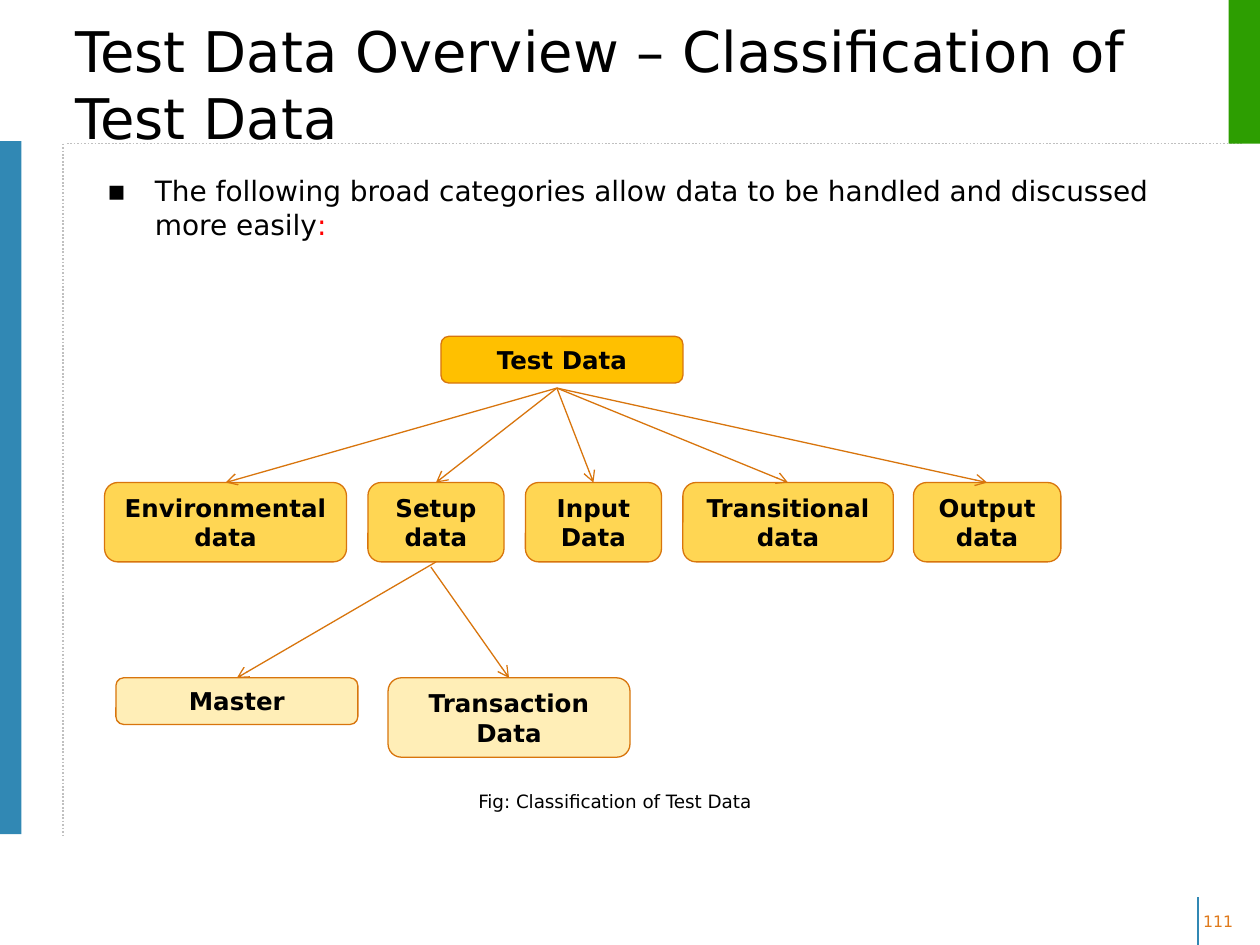
"""Build a slide that shows the classification of test data as a tree."""
import dataclasses

import lxml.etree
import pptx
import pptx.dml.color
import pptx.enum.dml
import pptx.enum.shapes
import pptx.enum.text
import pptx.oxml.ns
import pptx.util

Inches = pptx.util.Inches
Pt = pptx.util.Pt
qn = pptx.oxml.ns.qn
Kind = pptx.enum.shapes.MSO_SHAPE
Fit = pptx.enum.text.MSO_AUTO_SIZE
Mid = pptx.enum.text.MSO_ANCHOR.MIDDLE
Align = pptx.enum.text.PP_ALIGN


@dataclasses.dataclass
class Theme:
    font: str = "DejaVu Sans"
    ink: str = "000000"
    alert: str = "FF0000"
    blue: str = "3188B4"
    green: str = "2D9E01"
    grey: str = "C0C0C0"
    edge: str = "D8750D"
    page: str = "DF7A1C"
    root: str = "FFC000"
    group: str = "FFD653"
    leaf: str = "FFEEB7"
    title: float = 32
    body: float = 16
    label: float = 14
    note: float = 10.5
    small: float = 9


theme = Theme()
color = pptx.dml.color.RGBColor.from_string


def write(par, text, size, ink=theme.ink, bold=False, align=Align.LEFT):
    par.alignment = align
    par.space_before = Pt(0)
    run = par.add_run()
    run.text = text
    run.font.name = theme.font
    run.font.size = Pt(size)
    run.font.bold = bold
    run.font.color.rgb = color(ink)


def draw(start, end, ink, width, dots=False, arrow=False):
    line = slide.shapes.add_connector(
        pptx.enum.shapes.MSO_CONNECTOR.STRAIGHT,
        *(Inches(v) for v in (*start, *end)))
    line.line.color.rgb = color(ink)
    line.line.width = Pt(width)
    if dots:
        line.line.dash_style = pptx.enum.dml.MSO_LINE.ROUND_DOT
    if arrow:
        tail = lxml.etree.SubElement(line.line._get_or_add_ln(), qn("a:tailEnd"))
        tail.set("type", "arrow")
    lxml.etree.SubElement(line._element.spPr, qn("a:effectLst"))
    return line


deck = pptx.Presentation()
deck.slide_width, deck.slide_height = Inches(10), Inches(7.5)
slide = deck.slides.add_slide(deck.slide_layouts[1])

draw((9.51, 7.5), (9.51, 7.12), theme.blue, 1)
draw((0.53, 1.14), (9.86, 1.14), theme.grey, 1, dots=True)
draw((0.5, 1.14), (0.5, 6.64), theme.grey, 1, dots=True)

bars = [((0, 1.12, 0.17, 5.5), theme.blue), ((9.75, 0, 0.25, 1.14), theme.green)]
for place, fill in bars:
    bar = slide.shapes.add_shape(Kind.RECTANGLE, *(Inches(v) for v in place))
    bar.shadow.inherit = False
    bar.fill.solid()
    bar.fill.fore_color.rgb = color(fill)
    bar.line.fill.background()

title, body = slide.placeholders
title.left, title.top = Inches(0.5), Inches(0.33)
title.width, title.height = Inches(8.75), Inches(0.67)
title.text_frame.auto_size = Fit.NONE
title.text_frame.vertical_anchor = Mid
write(title.text_frame.paragraphs[0],
      "Test Data Overview – Classification of Test Data", theme.title)

body.left, body.top = Inches(0.75), Inches(1.33)
body.width, body.height = Inches(8.92), Inches(5.67)
body.text_frame.auto_size = Fit.NONE
par = body.text_frame.paragraphs[0]
props = par._p.get_or_add_pPr()
props.set("marL", str(Inches(0.38)))
props.set("indent", str(-Inches(0.38)))
paint = lxml.etree.SubElement(props, qn("a:buClr"))
lxml.etree.SubElement(paint, qn("a:srgbClr")).set("val", theme.ink)
lxml.etree.SubElement(props, qn("a:buFont")).set("typeface", theme.font)
lxml.etree.SubElement(props, qn("a:buChar")).set("char", "▪")
write(par, "The following broad categories allow data to be handled "
      "and discussed more easily", theme.body)
write(par, ":", theme.body, ink=theme.alert)

nodes = [
    ("Test Data", 3.5, 2.67, 1.92, 0.37, theme.root),
    ("Environmental data", 0.83, 3.83, 1.92, 0.63, theme.group),
    ("Setup data", 2.92, 3.83, 1.08, 0.63, theme.group),
    ("Input Data", 4.17, 3.83, 1.08, 0.63, theme.group),
    ("Transitional data", 5.42, 3.83, 1.67, 0.63, theme.group),
    ("Output data", 7.25, 3.83, 1.17, 0.63, theme.group),
    ("Master", 0.92, 5.38, 1.92, 0.37, theme.leaf),
    ("Transaction Data", 3.08, 5.38, 1.92, 0.63, theme.leaf),
]
boxes = []
for text, left, top, width, height, fill in nodes:
    box = slide.shapes.add_shape(
        Kind.ROUNDED_RECTANGLE, *(Inches(v) for v in (left, top, width, height)))
    box.shadow.inherit = False
    box.fill.solid()
    box.fill.fore_color.rgb = color(fill)
    box.line.color.rgb = color(theme.edge)
    box.line.width = Pt(0.75)
    frame = box.text_frame
    frame.word_wrap = True
    frame.auto_size = Fit.SHAPE_TO_FIT_TEXT
    frame.vertical_anchor = Mid
    write(frame.paragraphs[0], text, theme.label, bold=True, align=Align.CENTER)
    boxes.append(box)

setup, master = boxes[2], boxes[6]
starts = [(4.42, 3.08)] * 5 + [(3.46, 4.46), (3.42, 4.5)]
for start, box, node in zip(starts, boxes[1:], nodes[1:]):
    end = (node[1] + node[3] / 2, node[2])
    line = draw(start, end, theme.edge, 0.75, arrow=True)
    line.end_connect(box, 0)
    if box is master:
        line.begin_connect(setup, 2)

notes = [
    ("111", (9.45, 7.19, 0.55, 0.31), theme.small, theme.page, Align.LEFT),
    ("Fig: Classification of Test Data", (2.92, 6.22, 3.92, 0.28),
     theme.note, theme.ink, Align.CENTER),
]
for text, place, size, ink, align in notes:
    note = slide.shapes.add_textbox(*(Inches(v) for v in place))
    note.text_frame.word_wrap = True
    write(note.text_frame.paragraphs[0], text, size, ink=ink, align=align)

deck.save("out.pptx")
